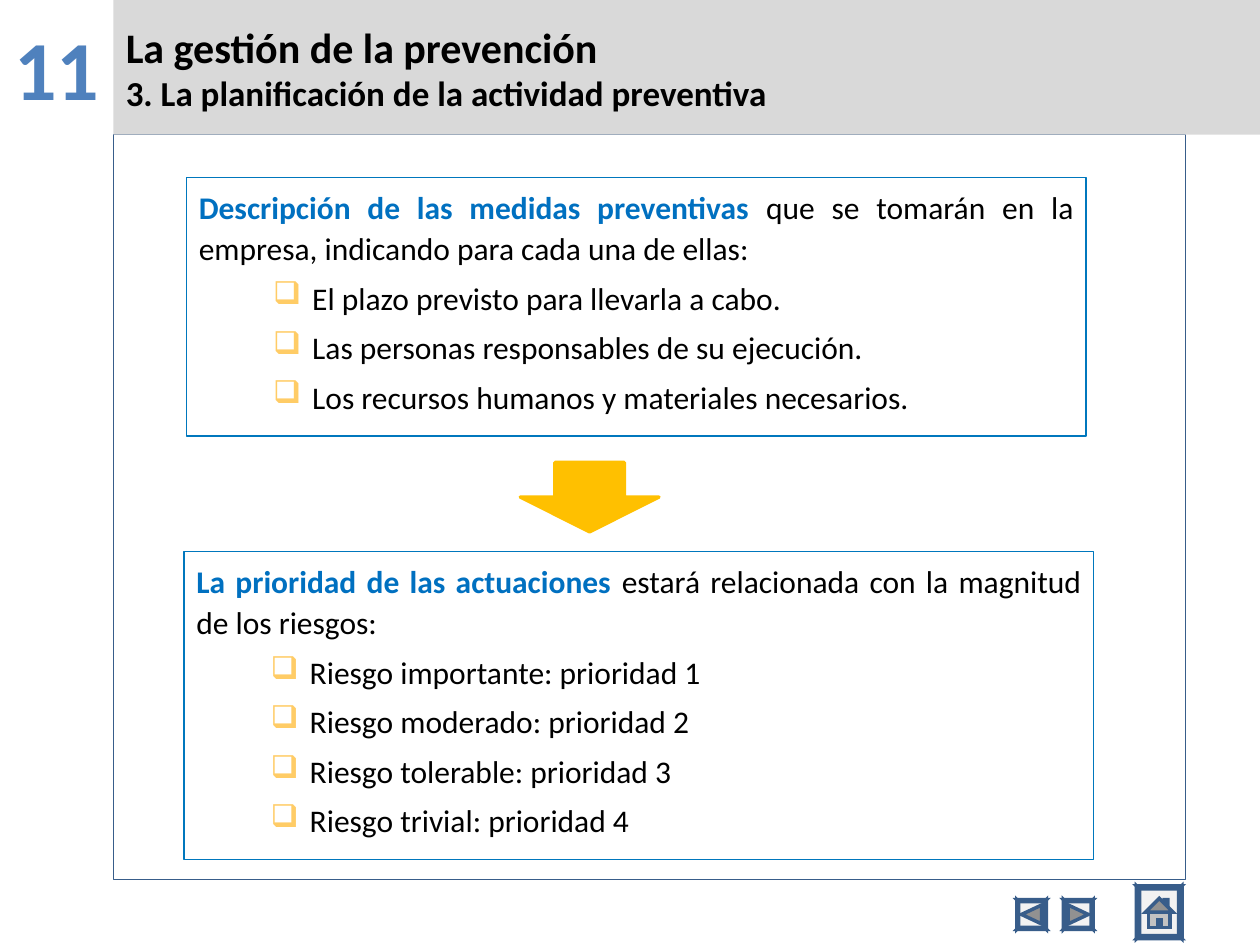
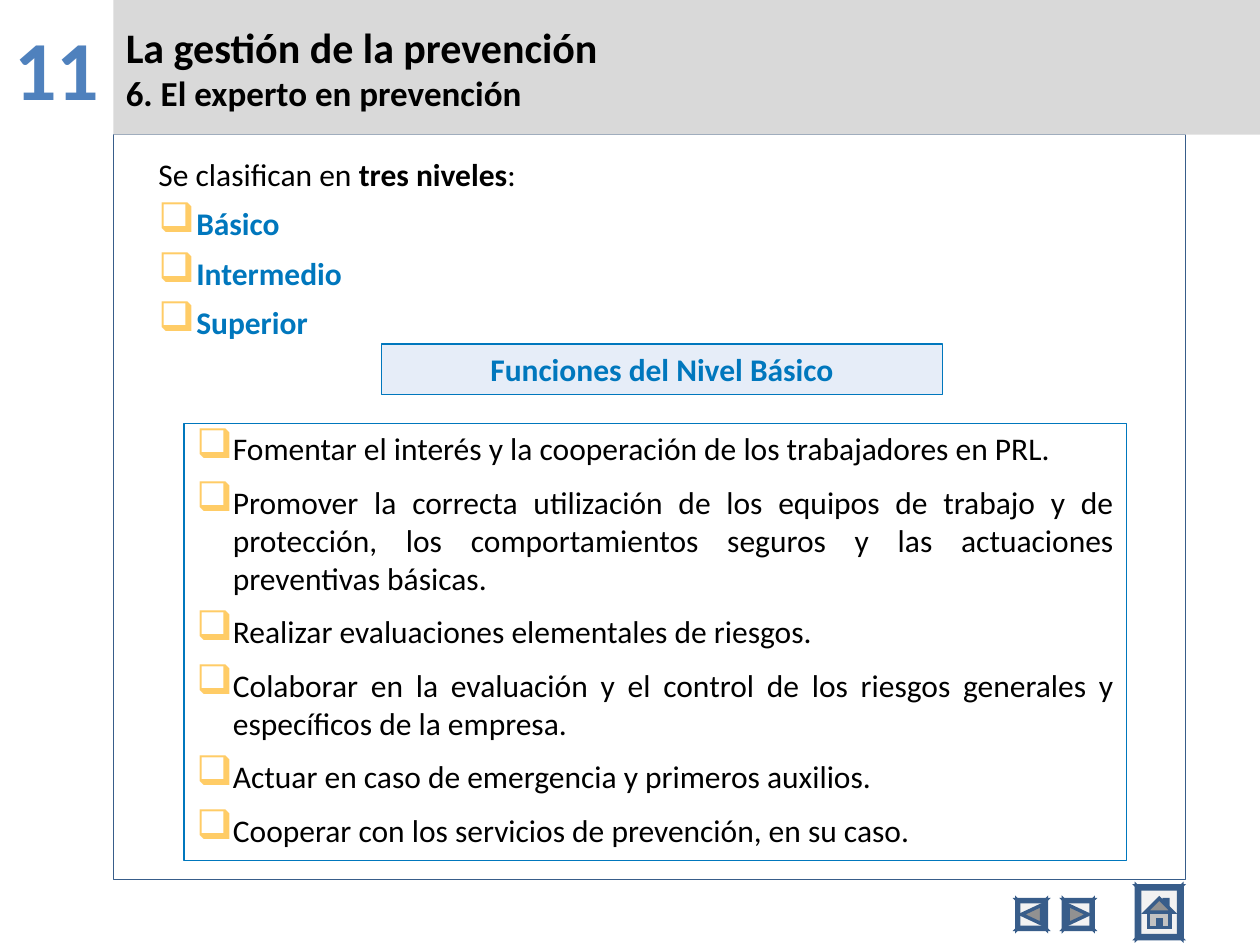
from lxml import etree
from pptx import Presentation
from pptx.dml.color import RGBColor
from pptx.enum import shapes, text
from pptx.oxml import ns
from pptx.util import Inches, Pt

# Shared style: a grid of 100 columns by 75 rows on a 10 x 7.5 inch slide
COLS, ROWS = 100, 75
FONT = "Calibri"
HUES = {
    "ink": "000000", "band": "D9D9D9", "edge": "385D8A", "face": "F2F2F2",
    "num": "4F81BD", "blue": "0077BD", "lead": "0070C0", "pale": "E6EDF8",
    "gold": "FFC000", "tick": "FFCC66", "grey": "919191", "mist": "C2C2C2",
}
ALIGN = text.PP_ALIGN
TOP, MID = text.MSO_ANCHOR.TOP, text.MSO_ANCHOR.MIDDLE
FORM = shapes.MSO_SHAPE


def run(words, hue="ink", bold=False, size=18):
    return words, hue, bold, size


def plain(lines, **style):
    return [[run(line, **style)] for line in lines]


class Deck:
    def __init__(self):
        self.prs = Presentation()
        self.prs.slide_width, self.prs.slide_height = Inches(10), Inches(7.5)
        self.slide = None

    def x(self, cols):
        return round(self.prs.slide_width * cols / COLS)

    def y(self, rows):
        return round(self.prs.slide_height * rows / ROWS)

    def place(self, left, top, wide, high):
        return self.x(left), self.y(top), self.x(wide), self.y(high)

    def hue(self, name):
        return RGBColor.from_string(HUES[name])

    def paint(self, shape, fill, line, width):
        shape.shadow.inherit = False
        if fill:
            shape.fill.solid()
            shape.fill.fore_color.rgb = self.hue(fill)
        else:
            shape.fill.background()
        if line:
            shape.line.color.rgb = self.hue(line)
            shape.line.width = Pt(width)
        else:
            shape.line.fill.background()

    def shape(self, area, fill=None, line=None, width=0.75, form=FORM.RECTANGLE):
        item = self.slide.shapes.add_shape(form, *self.place(*area))
        self.paint(item, fill, line, width)
        return item

    def label(self, area):
        return self.slide.shapes.add_textbox(*self.place(*area))

    def put(self, item, lines, align=ALIGN.LEFT, anchor=TOP, **gaps):
        """Fill a shape with paragraphs, each one a list of runs."""
        frame = item.text_frame
        frame.word_wrap = True
        frame.vertical_anchor = anchor
        frame.text = "\n" * (len(lines) - 1)
        for i, (para, runs) in enumerate(zip(frame.paragraphs, lines)):
            para.alignment = align
            if "lead" in gaps:
                para.line_spacing = gaps["lead"]
            if "after" in gaps:
                para.space_after = Pt(gaps["after"])
            if i and "before" in gaps:
                para.space_before = Pt(gaps["before"])
            for words, hue, bold, size in runs:
                part = para.add_run()
                part.text = words
                part.font.name, part.font.size = FONT, Pt(size)
                part.font.bold = bold
                part.font.color.rgb = self.hue(hue)
        return frame.paragraphs

    def hang(self, paras, left, back):
        """Give paragraphs a hanging indent."""
        for para in paras:
            props = para._p.get_or_add_pPr()
            props.set("marL", str(self.x(left)))
            props.set("indent", str(-self.x(back)))

    def tick(self, paras, left, back, scale=100):
        """Give paragraphs a hanging box bullet."""
        self.hang(paras, left, back)
        for para in paras:
            props = para._p.get_or_add_pPr()
            tint = etree.SubElement(props, ns.qn("a:buClr"))
            etree.SubElement(tint, ns.qn("a:srgbClr"), val=HUES["tick"])
            etree.SubElement(props, ns.qn("a:buSzPct"), val=str(scale * 1000))
            etree.SubElement(props, ns.qn("a:buChar"), char="❑")

    def trace(self, loops, fill):
        """Draw closed loops of grid points as one outline."""
        rings = [[(self.x(a), self.y(b)) for a, b in loop] for loop in loops]
        pen = self.slide.shapes.build_freeform(*rings[0][0])
        for i, ring in enumerate(rings):
            if i:
                pen.move_to(*ring[0])
            pen.add_line_segments(ring[1:], close=True)
        item = pen.convert_to_shape()
        self.paint(item, fill, "edge", 2)
        edge = item.line._get_or_add_ln()
        etree.SubElement(edge, ns.qn("a:miter"), lim="800000")

    def button(self, left, top, wide, high, rim, icon):
        """Draw a bevelled button; icon holds (fill, points) around its centre."""
        def ring(inset):
            right, low = left + wide - inset, top + high - inset
            return [(left + inset, top + inset), (right, top + inset),
                    (right, low), (left + inset, low)]

        outer, inner = ring(0), ring(rim)
        sides = []
        for i in range(4):
            j = (i + 1) % 4
            sides.append([outer[i], outer[j], inner[j], inner[i]])
        self.trace([outer] + sides, "face")
        mid, row = left + wide / 2, top + high / 2
        for fill, points in icon:
            self.trace([[(mid + a, row + b) for a, b in points]], fill)

    def start(self, topic):
        """Add a slide with its number, frame, title band and buttons."""
        self.slide = self.prs.slides.add_slide(self.prs.slide_layouts[6])
        self.put(self.label((0, 0, 9, 10)),
                 [[run("11", "num", True, 48), run(" ", size=54)]], ALIGN.CENTER)
        self.shape((9, 10.7, 85.1, 59.1), line="edge")
        band = self.shape((9, 0, 91, 10.7), "band")
        self.put(band, [[run("La gestión de la prevención", bold=True, size=24)],
                        [run(topic, bold=True, size=20)]], anchor=MID)
        # Back, next and home
        for left, way in ((80.7, -1), (84.4, 1)):
            arrow = [(0.8 * way, 0), (-0.8 * way, -0.75), (-0.8 * way, 0.75)]
            self.button(left, 71.4, 2.35, 2.35, 0.15, [("grey", arrow)])
        roof = [(0, -1.1), (1.1, 0), (-1.1, 0)]
        stack = [(0.4, -0.7), (0.4, -1), (0.7, -1), (0.7, -0.4)]
        walls = [(-0.85, 0), (0.85, 0), (0.85, 1.2), (-0.85, 1.2)]
        door = [(-0.15, 0.6), (0.15, 0.6), (0.15, 1.2), (-0.15, 1.2)]
        self.button(90.2, 70.3, 3.6, 4.2, 0.25,
                    [("mist", stack), ("mist", walls), ("grey", roof), ("grey", door)])

    def panel(self, area, head, rest, points):
        """Draw a bordered box: lead sentence, then a ticked list."""
        box = self.shape(area, line="blue")
        first = [run(head, "lead", True), run(rest)]
        paras = self.put(box, [first] + plain(points), ALIGN.JUSTIFY,
                         lead=1.1, before=4.5)
        self.tick(paras[1:], 9, 3.1)


def plan(deck):
    deck.start("3. La planificación de la actividad preventiva")
    deck.panel((14.8, 14.1, 71.4, 20.5), "Descripción de las medidas preventivas ",
               "que se tomarán en la empresa, indicando para cada una de ellas: ",
               ["El plazo previsto para llevarla a cabo.",
                "Las personas responsables de su ejecución.",
                "Los recursos humanos y materiales necesarios. "])
    deck.shape((41.3, 36.7, 11, 5.5), "gold", "gold", 2, FORM.DOWN_ARROW)
    ranks = ("importante", "moderado", "tolerable", "trivial")
    deck.panel((14.6, 43.8, 72.2, 24.4), "La prioridad de las actuaciones ",
               "estará relacionada con la magnitud de los riesgos:",
               [f"Riesgo {rank}: prioridad {i}" for i, rank in enumerate(ranks, 1)])


def expert(deck):
    deck.start("6. El experto en prevención")
    # Levels
    intro = [run("Se clasifican en "), run("tres niveles", bold=True), run(": ")]
    levels = plain(["Básico", "Intermedio", "Superior"], hue="blue", bold=True)
    paras = deck.put(deck.label((10.6, 11.5, 37.4, 15.6)), [intro] + levels,
                     ALIGN.JUSTIFY, lead=1.1, before=4.5)
    deck.hang(paras[:1], 4, 3)
    deck.tick(paras[1:], 4, 3, 130)
    # Tasks of the basic level
    head = deck.shape((30.3, 27.3, 44.5, 4), "pale", "blue")
    deck.put(head, plain(["Funciones del Nivel Básico"], hue="blue", bold=True),
             ALIGN.CENTER, MID)
    tasks = [
        "Fomentar el interés y la cooperación de los trabajadores en PRL. ",
        "Promover la correcta utilización de los equipos de trabajo y de protección, "
        "los comportamientos seguros y las actuaciones preventivas básicas. ",
        "Realizar evaluaciones elementales de riesgos.",
        "Colaborar en la evaluación y el control de los riesgos generales y "
        "específicos de la empresa.",
        "Actuar en caso de emergencia y primeros auxilios.",
        "Cooperar con los servicios de prevención, en su caso.",
    ]
    box = deck.shape((14.6, 33.6, 74.8, 34.7), line="blue")
    paras = deck.put(box, plain(tasks), ALIGN.JUSTIFY, before=4.5, after=4.5)
    deck.tick(paras, 2.9, 2.9, 130)


def main():
    deck = Deck()
    plan(deck)
    expert(deck)
    deck.prs.save("out.pptx")


if __name__ == "__main__":
    main()
